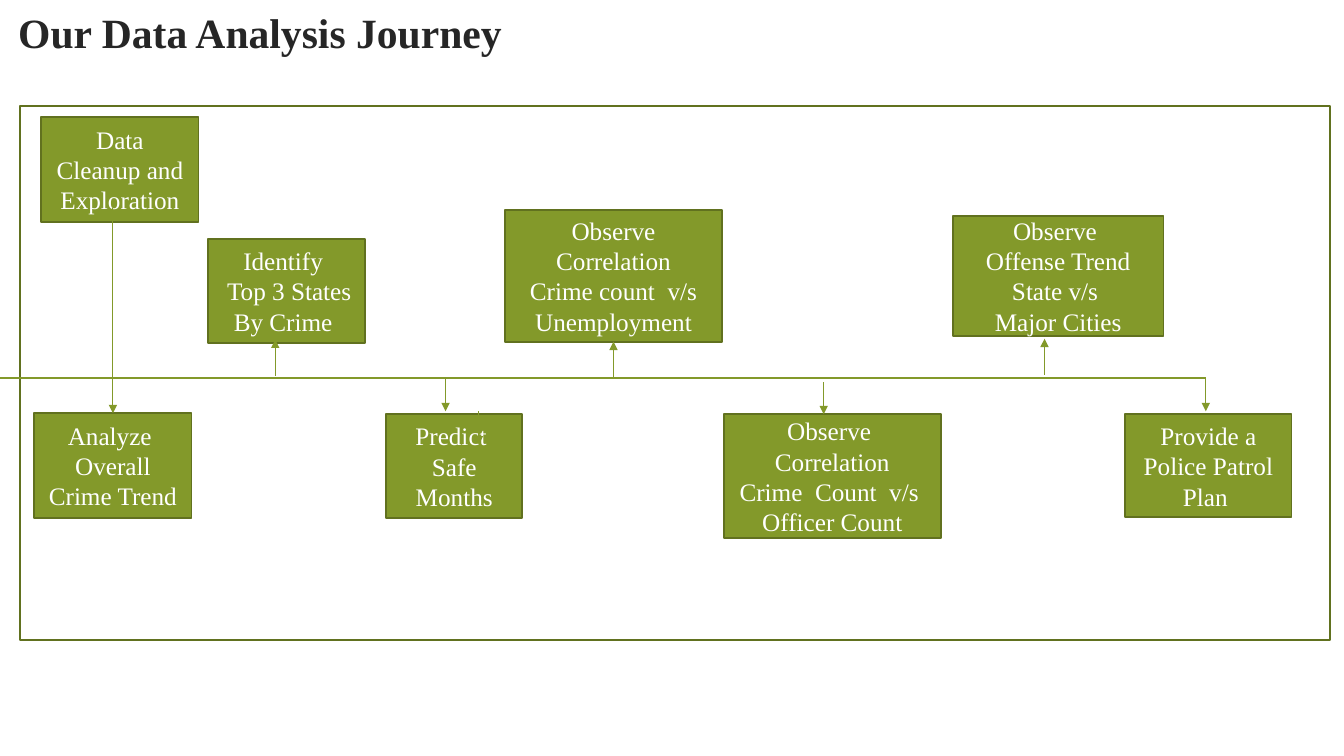
"""Build the data analysis journey slide."""
from lxml import etree
from pptx import Presentation
from pptx import util as u
from pptx.dml.color import RGBColor
from pptx.enum import shapes, text
from pptx.oxml import ns

GREEN = RGBColor(0x83, 0x99, 0x2A)
OLIVE = RGBColor(0x61, 0x71, 0x1F)
WHITE = RGBColor(0xFF, 0xFF, 0xFF)
INK = RGBColor(0x26, 0x26, 0x26)
TRUNK = 3.75

STEPS = {
    "trend": (0.34, 4.1, 1.56, 1.04, "Analyze \nOverall Crime Trend"),
    "states": (2.06, 2.37, 1.56, 1.03, "Identify \n Top 3 States\nBy Crime "),
    "months": (3.83, 4.11, 1.35, 1.03, "Predict \nSafe Months"),
    "police": (7.18, 4.11, 2.15, 1.23,
               "Observe \nCorrelation\nCrime  Count  v/s \nOfficer Count"),
    "jobs": (5.01, 2.08, 2.15, 1.31,
             "Observe Correlation\nCrime count  v/s Unemployment"),
    "cities": (9.45, 2.14, 2.09, 1.19,
               "Observe \nOffense Trend\nState v/s \nMajor Cities"),
    "patrol": (11.16, 4.11, 1.65, 1.02, "Provide a Police Patrol Plan "),
    "cleanup": (0.41, 1.16, 1.56, 1.04, "Data Cleanup and Exploration"),
}

ARROWS = [
    (1.12, 2.06, 4.1, "trend", 0),
    (2.73, 3.73, 3.37, None, None),
    (4.42, TRUNK, 4.08, None, None),
    (6.11, TRUNK, 3.39, "jobs", 2),
    (10.36, 3.72, 3.36, None, None),
    (8.17, 3.79, 4.11, None, None),
    (4.75, 4.08, 4.41, None, None),
    (11.96, 3.76, 4.08, None, None),
]


class Board:
    def __init__(self, slide, font="Times New Roman", size=18):
        self.slide = slide
        self.font = font
        self.size = size

    def style(self, frame, size, color, align, bold=False):
        for para in frame.paragraphs:
            para.alignment = align
            for run in para.runs:
                run.font.name = self.font
                run.font.size = u.Pt(size)
                run.font.bold = bold
                run.font.color.rgb = color

    def title(self, words, left, top, width, height):
        head = self.slide.shapes.title
        head.left, head.top = u.Inches(left), u.Inches(top)
        head.width, head.height = u.Inches(width), u.Inches(height)
        frame = head.text_frame
        frame.text = words
        frame.auto_size = text.MSO_AUTO_SIZE.NONE
        frame.vertical_anchor = text.MSO_ANCHOR.BOTTOM
        self.style(frame, 29.7, INK, text.PP_ALIGN.LEFT, True)

    def box(self, left, top, width, height, words="", fill=GREEN):
        rect = self.slide.shapes.add_shape(
            shapes.MSO_SHAPE.RECTANGLE, u.Inches(left), u.Inches(top),
            u.Inches(width), u.Inches(height))
        rect.shadow.inherit = False
        rect.fill.solid()
        rect.fill.fore_color.rgb = fill
        rect.line.color.rgb = OLIVE
        rect.line.width = u.Pt(1.25)
        frame = rect.text_frame
        frame.text = words
        frame.word_wrap = True
        frame.vertical_anchor = text.MSO_ANCHOR.MIDDLE
        self.style(frame, self.size, WHITE, text.PP_ALIGN.CENTER)
        return rect

    def line(self, x1, y1, x2, y2, arrow=False):
        link = self.slide.shapes.add_connector(
            shapes.MSO_CONNECTOR.STRAIGHT, u.Inches(x1), u.Inches(y1),
            u.Inches(x2), u.Inches(y2))
        link.line.color.rgb = GREEN
        link.line.width = u.Pt(0.75)
        if arrow:
            etree.SubElement(link.line._get_or_add_ln(),
                             ns.qn("a:tailEnd"), type="triangle")
        etree.SubElement(link._element.spPr, ns.qn("a:effectLst"))
        return link


def main():
    deck = Presentation()
    deck.slide_width = u.Inches(13.33)
    deck.slide_height = u.Inches(7.5)
    board = Board(deck.slides.add_slide(deck.slide_layouts[5]))
    board.title("Our Data Analysis Journey", 0.08, 0.08, 11.9, 0.53)
    board.box(0.2, 1.05, 12.99, 5.3, fill=WHITE)
    steps = {name: board.box(*step) for name, step in STEPS.items()}
    board.line(0, TRUNK, 11.96, TRUNK)
    for x, start, end, goal, side in ARROWS:
        link = board.line(x, start, x, end, arrow=True)
        if goal:
            link.end_connect(steps[goal], side)
            link.begin_x = link.end_x
    deck.save("out.pptx")


if __name__ == "__main__":
    main()
